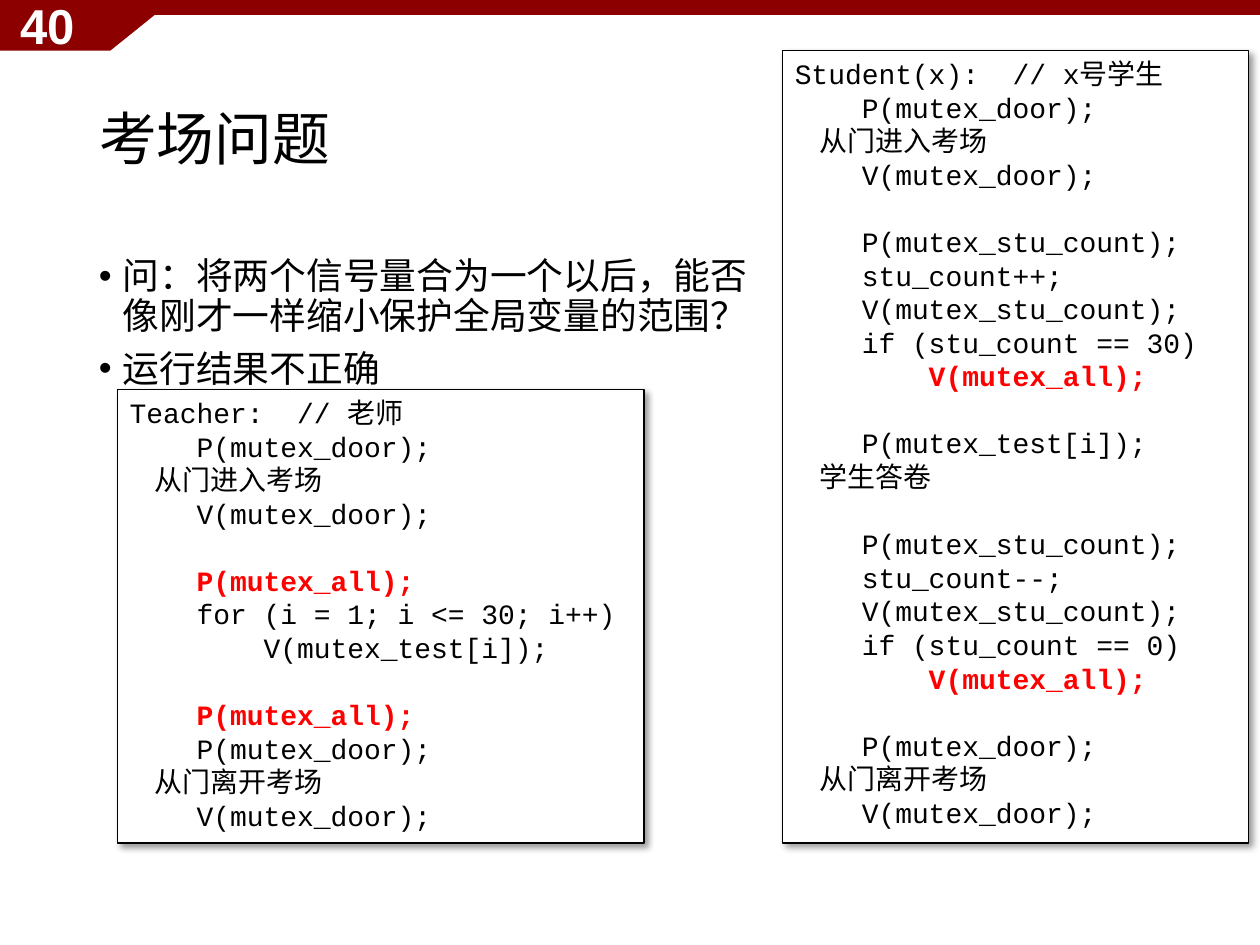
from dataclasses import dataclass

from lxml import etree
from pptx import Presentation
from pptx.dml.color import RGBColor
from pptx.enum import shapes, text
from pptx.oxml import ns
from pptx.util import Pt

BLACK, WHITE, RED, MAROON = "000000", "FFFFFF", "FF0000", "8C0000"
EMPHASIZED = {"P(mutex_all);", "V(mutex_all);"}
CODE_SIZE = 16
CODE_LINE_HEIGHT = 19.2

TEACHER_CODE = """Teacher:  // 老师
    P(mutex_door);
    从门进入考场
    V(mutex_door);

    P(mutex_all);
    for (i = 1; i <= 30; i++)
        V(mutex_test[i]);

    P(mutex_all);
    P(mutex_door);
    从门离开考场
    V(mutex_door);"""

STUDENT_CODE = """Student(x):  // x号学生
    P(mutex_door);
    从门进入考场
    V(mutex_door);

    P(mutex_stu_count);
    stu_count++;
    V(mutex_stu_count);
    if (stu_count == 30)
        V(mutex_all);

    P(mutex_test[i]);
    学生答卷

    P(mutex_stu_count);
    stu_count--;
    V(mutex_stu_count);
    if (stu_count == 0)
        V(mutex_all);

    P(mutex_door);
    从门离开考场
    V(mutex_door);"""

QUESTIONS = [
    "问：将两个信号量合为一个以后，能否\v像刚才一样缩小保护全局变量的范围？",
    "运行结果不正确",
]


@dataclass(frozen=True)
class Box:
    left: float
    top: float
    width: float
    height: float

    def lengths(self) -> tuple:
        return Pt(self.left), Pt(self.top), Pt(self.width), Pt(self.height)


@dataclass(frozen=True)
class CodePanel:
    box: Box
    code: str


PANELS = [
    CodePanel(Box(67, 222.5, 301, 259.2), TEACHER_CODE),
    CodePanel(Box(447.1, 28.8, 266.4, 452.9), STUDENT_CODE),
]


def color(value: str) -> RGBColor:
    return RGBColor.from_string(value)


def add_bullet(paragraph, indent: float) -> None:
    properties = paragraph._p.get_or_add_pPr()
    properties.set("marL", str(Pt(indent)))
    properties.set("indent", str(Pt(-indent)))
    font = etree.SubElement(properties, ns.qn("a:buFont"))
    font.set("typeface", "Arial")
    etree.SubElement(properties, ns.qn("a:buChar")).set("char", "•")


def write(frame, content: str, *, size: float, font: str = "Arial",
          fill: str = BLACK, bold: bool = False, first: bool = True,
          align=text.PP_ALIGN.LEFT, spacing: float = 1.0,
          before: float = 0, bullet_indent: float = 0) -> None:
    paragraph = frame.paragraphs[0] if first else frame.add_paragraph()
    paragraph.text = content
    paragraph.alignment = align
    paragraph.line_spacing = spacing
    paragraph.space_before = Pt(before)
    if bullet_indent:
        add_bullet(paragraph, bullet_indent)
    for run in paragraph.runs:
        run.font.name = font
        run.font.size = Pt(size)
        run.font.bold = bold
        run.font.color.rgb = color(fill)


def paint_maroon(shape) -> None:
    shape.shadow.inherit = False
    shape.fill.solid()
    shape.fill.fore_color.rgb = color(MAROON)
    shape.line.fill.background()


def add_header(slide) -> None:
    builder = slide.shapes.build_freeform(0, 0, scale=Pt(1))
    builder.add_line_segments([(-0.7, 28.8), (62.6, 28.8), (99.4, 0)], close=True)
    paint_maroon(builder.convert_to_shape())
    bar = Box(-0.7, 0, 720.7, 8.6)
    paint_maroon(slide.shapes.add_shape(shapes.MSO_SHAPE.RECTANGLE, *bar.lengths()))


def add_text_box(slide, box: Box, anchor=text.MSO_ANCHOR.TOP):
    frame = slide.shapes.add_textbox(*box.lengths()).text_frame
    frame.word_wrap = True
    frame.vertical_anchor = anchor
    return frame


def place_title(slide, box: Box) -> None:
    title = slide.shapes.title
    title.left, title.top, title.width, title.height = box.lengths()
    title.text_frame.vertical_anchor = text.MSO_ANCHOR.MIDDLE
    write(title.text_frame, "考场问题", size=33, font="Times New Roman", spacing=0.9)


def add_shadow(shape) -> None:
    shape.shadow.inherit = False
    effects = shape._element.spPr.find(ns.qn("a:effectLst"))
    shadow = etree.SubElement(effects, ns.qn("a:outerShdw"))
    settings = {"blurRad": Pt(4), "dist": Pt(3), "dir": 45 * 60000,
                "algn": "tl", "rotWithShape": 0}
    for name, value in settings.items():
        shadow.set(name, str(value))
    tint = etree.SubElement(shadow, ns.qn("a:srgbClr"))
    tint.set("val", BLACK)
    etree.SubElement(tint, ns.qn("a:alpha")).set("val", "40000")


def add_code_panel(slide, panel: CodePanel) -> None:
    shape = slide.shapes.add_shape(shapes.MSO_SHAPE.RECTANGLE, *panel.box.lengths())
    shape.fill.solid()
    shape.fill.fore_color.rgb = color(WHITE)
    shape.line.color.rgb = color(BLACK)
    shape.line.width = Pt(0.75)
    add_shadow(shape)
    frame = shape.text_frame
    frame.word_wrap = True
    frame.auto_size = text.MSO_AUTO_SIZE.SHAPE_TO_FIT_TEXT
    frame.vertical_anchor = text.MSO_ANCHOR.TOP
    first, gap = True, 0
    for line in panel.code.splitlines():
        if not line:
            gap = CODE_LINE_HEIGHT
            continue
        emphasized = line.strip() in EMPHASIZED
        write(frame, line, size=CODE_SIZE, font="Courier New", first=first,
              fill=RED if emphasized else BLACK, bold=emphasized, before=gap)
        first, gap = False, 0


def main() -> None:
    presentation = Presentation()
    presentation.slide_width, presentation.slide_height = Pt(720), Pt(540)
    slide = presentation.slides.add_slide(presentation.slide_layouts[5])
    add_header(slide)
    place_title(slide, Box(49.5, 28.8, 621, 104.4))
    body = add_text_box(slide, Box(49.5, 143.8, 621, 342.6))
    for index, question in enumerate(QUESTIONS):
        write(body, question, size=21, first=index == 0, spacing=0.9,
              before=7.5 if index else 0, bullet_indent=13.5)
    number = add_text_box(slide, Box(-1.4, 0, 51, 28.8), text.MSO_ANCHOR.MIDDLE)
    write(number, "40", size=28, fill=WHITE, bold=True, align=text.PP_ALIGN.RIGHT)
    for panel in PANELS:
        add_code_panel(slide, panel)
    presentation.save("out.pptx")


if __name__ == "__main__":
    main()
